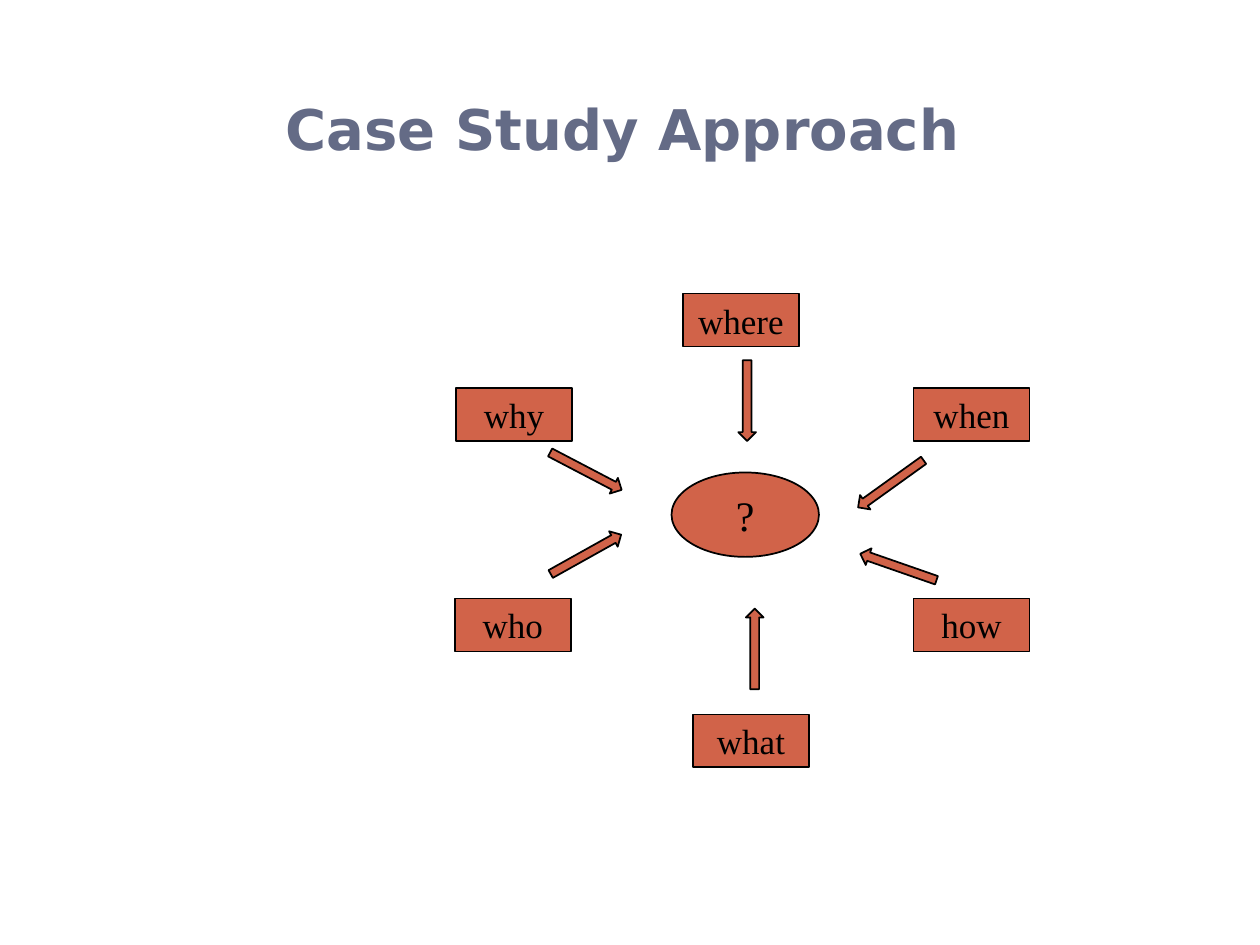
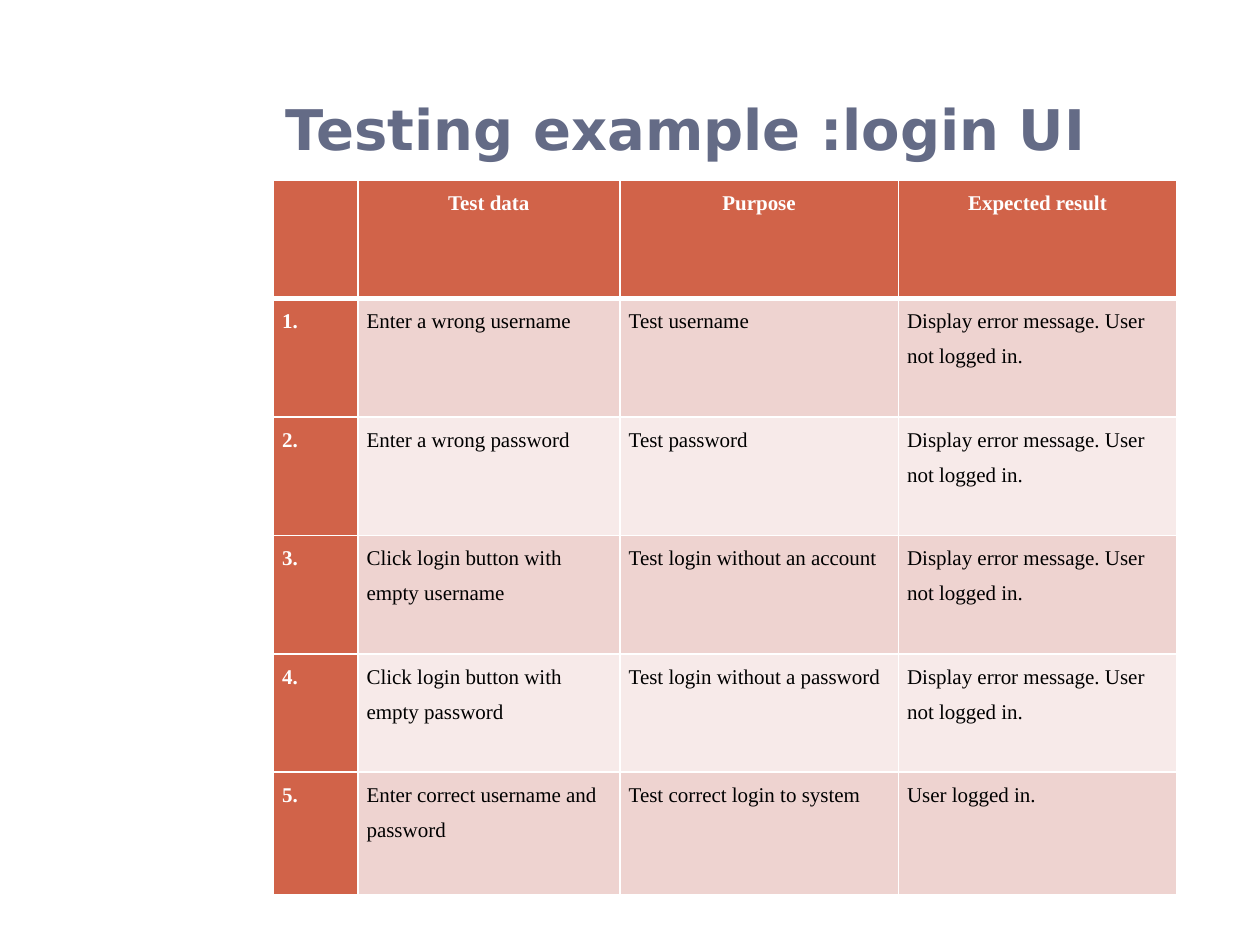
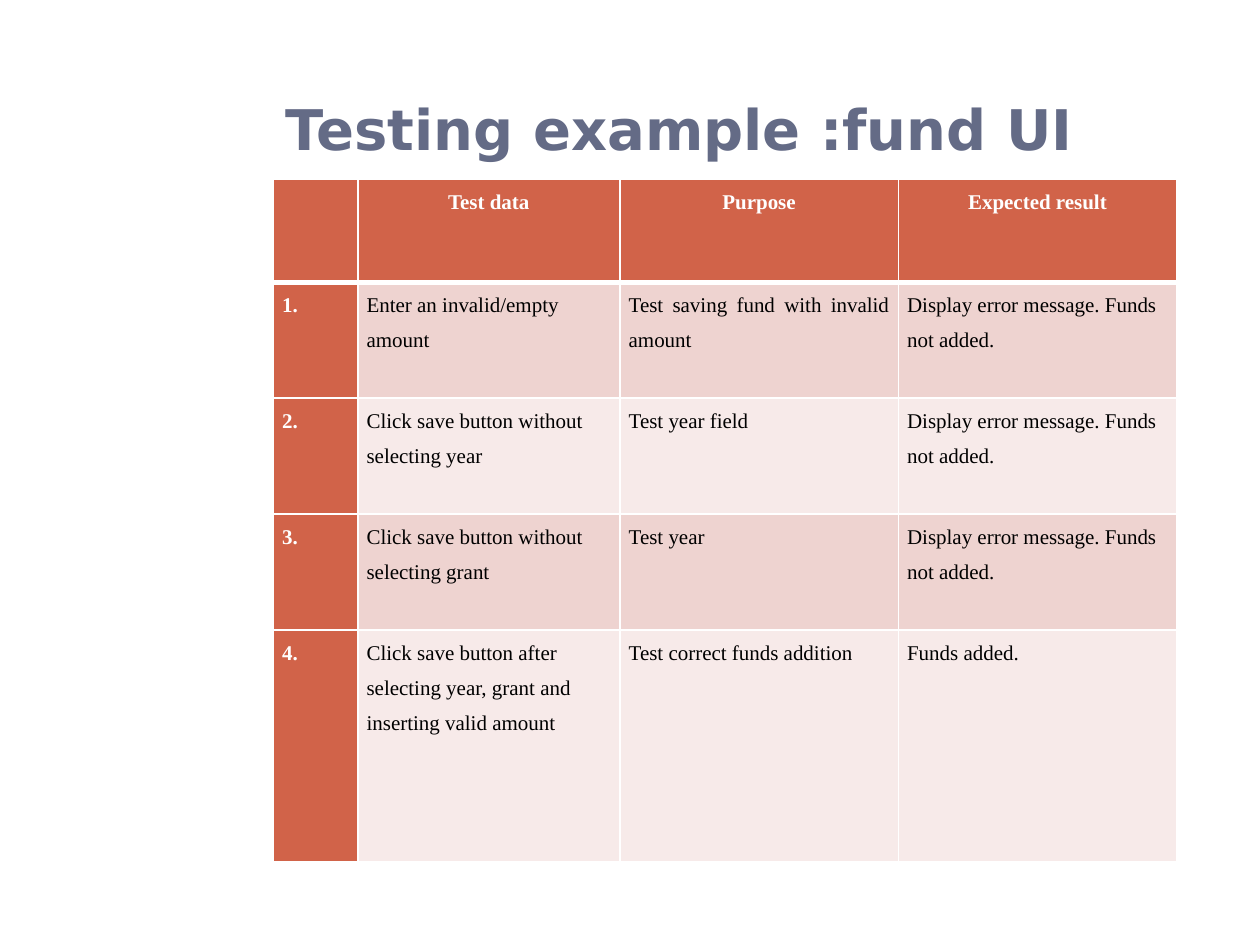
from dataclasses import dataclass
from typing import Any

from lxml.etree import SubElement
from pptx import Presentation
from pptx.dml.color import RGBColor
from pptx.enum.shapes import MSO_SHAPE as Preset
from pptx.enum.text import MSO_ANCHOR as Anchor, PP_ALIGN as Align
from pptx.oxml.ns import qn
from pptx.util import Emu, Pt

EMU_PER_PX = 9144  # 100 px to the inch

SLATE, RUST, BLACK, WHITE = "646B86", "D16349", "000000", "FFFFFF"
BANDS = ("EED3D0", "F7EAE9")
SERIF = "Times New Roman"

TITLE_FONT = {"name": "DejaVu Sans", "size": Pt(32), "bold": True}
LABEL_FONT = {"name": SERIF, "size": Pt(20)}
CENTER_FONT = {"name": SERIF, "size": Pt(24)}
BODY_FONT = {"name": SERIF, "size": Pt(12), "bold": False}
HEAD_FONT = {**BODY_FONT, "bold": True}

CONTENT_LEFT, CONTENT_WIDTH = 217, 717
COLUMN_WIDTHS = (67, 208, 221, 221)
HEADINGS = ("", "Test data", "Purpose", "Expected result")
BODY_ALIGNMENTS = (Align.JUSTIFY, Align.LEFT, Align.JUSTIFY, Align.LEFT)

LABEL_SIZE = (92, 42)
ARROW_SIZE = (64, 14)


@dataclass(frozen=True)
class Question:
    """A label with the arrow that leads from it to the centre."""
    word: str
    left: int
    top: int
    arrow_left: int
    arrow_top: int
    rotation: float


@dataclass(frozen=True)
class TestCase:
    data: str
    purpose: str
    result: str


@dataclass(frozen=True)
class TestPlan:
    title: str
    top: int
    row_heights: tuple[int, ...]
    cases: tuple[TestCase, ...]


QUESTIONS = (
    Question("where", 542, 233, 561, 311, 90),
    Question("why", 362, 308, 433, 367, 27.6),
    Question("when", 725, 308, 675, 377, 144.3),
    Question("how", 725, 475, 681, 443, 199.2),
    Question("who", 361, 475, 433, 433, 330.8),
    Question("what", 550, 567, 567, 508, 270),
)

LOGIN_ERROR = "Display error message. User not logged in."
FUND_ERROR = "Display error message. Funds not added."

PLANS = (
    TestPlan("Testing example :login UI", 143, (94, 94, 94, 94, 94, 97), (
        TestCase("Enter a wrong username", "Test username", LOGIN_ERROR),
        TestCase("Enter a wrong password", "Test password", LOGIN_ERROR),
        TestCase("Click login button with empty username",
                 "Test login without an account", LOGIN_ERROR),
        TestCase("Click login button with empty password",
                 "Test login without a password", LOGIN_ERROR),
        TestCase("Enter correct username and password",
                 "Test correct login to system", "User logged in."),
    )),
    TestPlan("Testing example :fund UI", 142, (82, 92, 92, 92, 184), (
        TestCase("Enter an invalid/empty amount",
                 "Test saving fund with invalid amount", FUND_ERROR),
        TestCase("Click save button without selecting year",
                 "Test year field", FUND_ERROR),
        TestCase("Click save button without selecting grant",
                 "Test year", FUND_ERROR),
        TestCase("Click save button after selecting year, grant and "
                 "inserting valid amount",
                 "Test correct funds addition", "Funds added."),
    )),
)


def px(length: int) -> Emu:
    return Emu(length * EMU_PER_PX)


def color(value: str) -> RGBColor:
    return RGBColor.from_string(value)


def set_all(target: Any, values: dict[str, Any]) -> None:
    for name, value in values.items():
        setattr(target, name, value)


def paint(target: Any, value: str) -> None:
    target.fill.solid()
    target.fill.fore_color.rgb = color(value)


def write(frame: Any, text: str, font: dict[str, Any], text_color: str,
          **paragraph_format: Any) -> None:
    paragraph = frame.paragraphs[0]
    set_all(paragraph, paragraph_format)
    run = paragraph.add_run()
    run.text = text
    set_all(run.font, font)
    run.font.color.rgb = color(text_color)


def add_titled_slide(presentation: Any, title: str) -> Any:
    slide = presentation.slides.add_slide(presentation.slide_layouts[6])
    box = slide.shapes.add_textbox(
        *map(px, (CONTENT_LEFT, 25, CONTENT_WIDTH, 108)))
    set_all(box.text_frame, {"word_wrap": True,
                             "vertical_anchor": Anchor.BOTTOM})
    write(box.text_frame, title, TITLE_FONT, SLATE)
    return slide


def add_rust_shape(slide: Any, preset: Preset, left: int, top: int,
                   size: tuple[int, int]) -> Any:
    shape = slide.shapes.add_shape(preset, *map(px, (left, top, *size)))
    shape.shadow.inherit = False
    paint(shape, RUST)
    shape.line.color.rgb = color(BLACK)
    shape.line.width = Pt(1)
    return shape


def add_label(slide: Any, preset: Preset, left: int, top: int,
              size: tuple[int, int], text: str, font: dict[str, Any]) -> None:
    shape = add_rust_shape(slide, preset, left, top, size)
    set_all(shape.text_frame, {"word_wrap": False,
                               "vertical_anchor": Anchor.MIDDLE})
    write(shape.text_frame, text, font, BLACK, alignment=Align.CENTER)


def add_approach_slide(presentation: Any) -> None:
    slide = add_titled_slide(presentation, "Case Study Approach")
    add_label(slide, Preset.OVAL, 533, 375, (117, 67), "?", CENTER_FONT)
    for question in QUESTIONS:
        add_label(slide, Preset.RECTANGLE, question.left, question.top,
                  LABEL_SIZE, question.word, LABEL_FONT)
    for question in QUESTIONS:
        arrow = add_rust_shape(slide, Preset.RIGHT_ARROW, question.arrow_left,
                               question.arrow_top, ARROW_SIZE)
        arrow.rotation = question.rotation


def add_borders(cell: Any, top: int, bottom: int) -> None:
    """Draw white borders; top and bottom widths are in points."""
    properties = cell._tc.get_or_add_tcPr()
    for side, width in {"L": 1, "R": 1, "T": top, "B": bottom}.items():
        line = SubElement(properties, qn(f"a:ln{side}"), w=str(Pt(width)))
        fill = SubElement(line, qn("a:solidFill"))
        SubElement(fill, qn("a:srgbClr"), val=WHITE)


def fill_cell(cell: Any, row: int, column: int, text: str) -> None:
    is_heading = row == 0 or column == 0
    add_borders(cell, top=3 if row == 1 else 1, bottom=3 if row == 0 else 1)
    paint(cell, RUST if is_heading else BANDS[(row - 1) % 2])
    set_all(cell, {"margin_left": px(7), "margin_right": px(7),
                   "margin_top": 0, "margin_bottom": 0})
    if text:
        write(cell.text_frame, text,
              HEAD_FONT if is_heading else BODY_FONT,
              WHITE if is_heading else BLACK, line_spacing=1.5,
              alignment=Align.CENTER if row == 0 else BODY_ALIGNMENTS[column])


def add_plan_slide(presentation: Any, plan: TestPlan) -> None:
    slide = add_titled_slide(presentation, plan.title)
    rows = [HEADINGS] + [
        (f"{number}.", case.data, case.purpose, case.result)
        for number, case in enumerate(plan.cases, start=1)]
    table = slide.shapes.add_table(
        len(rows), len(HEADINGS),
        *map(px, (CONTENT_LEFT, plan.top, CONTENT_WIDTH,
                  sum(plan.row_heights)))).table
    set_all(table, {"first_col": True, "horz_banding": False})
    for column, width in zip(table.columns, COLUMN_WIDTHS):
        column.width = px(width)
    for row, height in zip(table.rows, plan.row_heights):
        row.height = px(height)
    for row_index, texts in enumerate(rows):
        for column_index, text in enumerate(texts):
            fill_cell(table.cell(row_index, column_index),
                      row_index, column_index, text)


def main() -> None:
    presentation = Presentation()
    set_all(presentation, {"slide_width": px(1000), "slide_height": px(750)})
    add_approach_slide(presentation)
    for plan in PLANS:
        add_plan_slide(presentation, plan)
    presentation.save("out.pptx")


if __name__ == "__main__":
    main()
